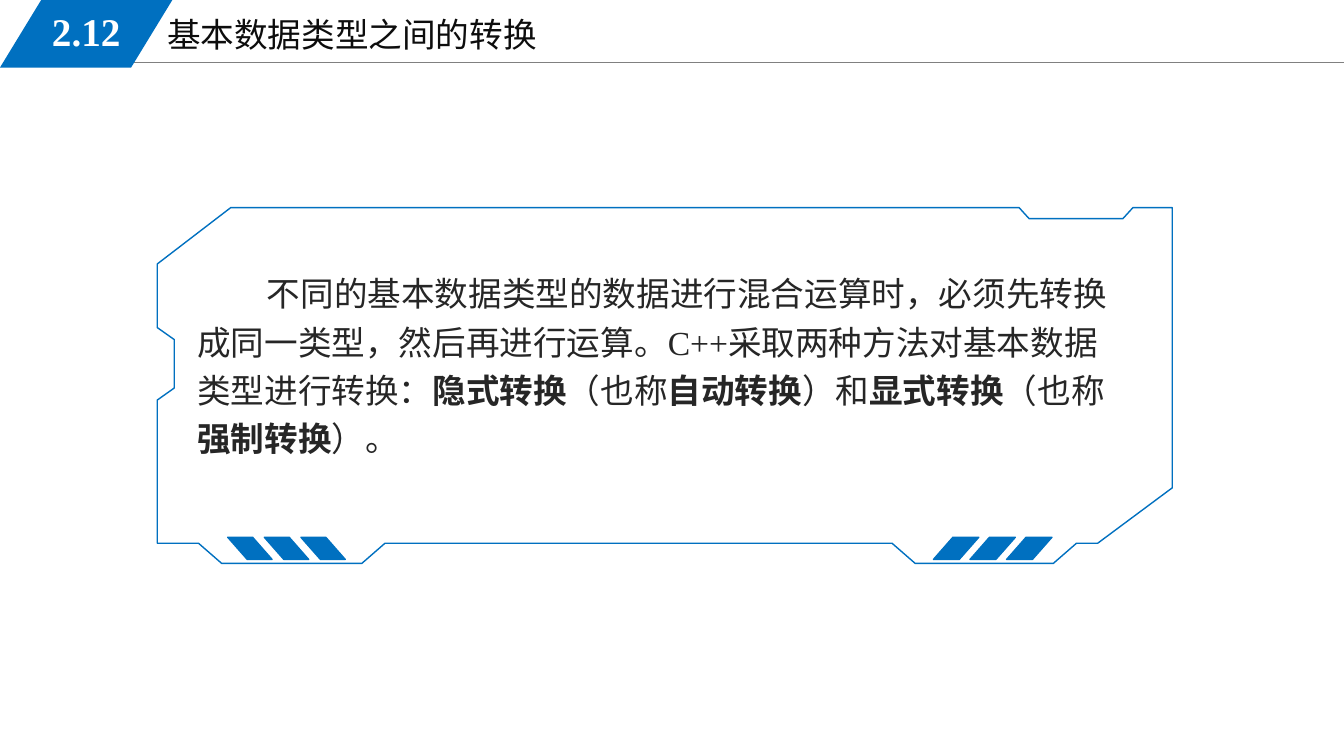
from lxml.etree import SubElement
from pptx import Presentation
from pptx.dml.color import RGBColor
from pptx.enum.shapes import MSO_CONNECTOR as Link, MSO_SHAPE as Shape
from pptx.enum.text import MSO_ANCHOR as Anchor, PP_ALIGN as Align
from pptx.oxml.ns import qn
from pptx.util import Inches, Pt

CELL = Inches(0.1)
COLS, ROWS = 133.33, 75
BLUE, GRAY, DARK, INK, WHITE = "0070C0", "808080", "0D0D0D", "262626", "FFFFFF"
FACE = "Times New Roman"

FRAME = [
    (90.8, 55.9), (104.5, 55.9), (106.8, 53.9), (108.9, 53.9),
    (116.3, 48.4), (116.3, 20.6), (112.4, 20.6), (111.4, 21.7),
    (102.1, 21.7), (101.1, 20.6), (22.9, 20.6), (15.6, 26.2),
    (15.6, 32.5), (17.3, 33.7), (17.3, 38.5), (15.6, 39.7),
    (15.6, 53.9), (19.7, 53.9), (22, 55.9), (35.9, 55.9),
    (38.2, 53.9), (88.5, 53.9),
]

BODY = [
    ("不同的基本数据类型的数据进行混合运算时，必须先转换成同一类型，"
     "然后再进行运算。C++采取两种方法对基本数据类型进行转换：", False),
    ("隐式转换", True), ("（也称", False), ("自动转换", True),
    ("）和", False), ("显式转换", True), ("（也称", False),
    ("强制转换", True), ("）。", False),
]


def grid(*cells):
    return [round(cell * CELL) for cell in cells]


def color(text):
    return RGBColor.from_string(text)


def add_rule(slide, start, end):
    rule = slide.shapes.add_connector(Link.STRAIGHT, *grid(*start, *end))
    rule.line.color.rgb = color(GRAY)
    rule.line.width = Pt(0.75)
    SubElement(rule._element.spPr, qn("a:effectLst"))


def add_text(slide, box, parts, size, tint, bold=False, align=None,
             anchor=Anchor.TOP, indent=0, space=None):
    frame = slide.shapes.add_textbox(*grid(*box)).text_frame
    frame.word_wrap = True
    frame.vertical_anchor = anchor
    para = frame.paragraphs[0]
    para.alignment = align
    para.line_spacing = space
    if indent:
        para._p.get_or_add_pPr().set("indent", str(grid(indent)[0]))
    font = para.font
    font.name, font.size, font.bold = FACE, Pt(size), bold
    font.color.rgb = color(tint)
    for words, strong in parts:
        run = para.add_run()
        run.text = words
        if strong:
            run.font.bold = True


def add_slant(slide, box, lean, edge=True, flip=False):
    slant = slide.shapes.add_shape(Shape.PARALLELOGRAM, *grid(*box))
    slant.adjustments[0] = lean
    slant.shadow.inherit = False
    slant.fill.solid()
    slant.fill.fore_color.rgb = color(BLUE)
    if edge:
        slant.line.color.rgb = color(BLUE)
        slant.line.width = Pt(1)
    else:
        slant.line.fill.background()
    if flip:
        slant._element.spPr.xfrm.set("flipH", "1")


def add_bars(slide, left, width, flip):
    for step in range(3):
        box = (left + 3.63 * step, 53.3, width, 2.2)
        add_slant(slide, box, 0.88, flip=flip)


def add_frame(slide, points):
    spots = [tuple(grid(*point)) for point in points]
    pen = slide.shapes.build_freeform(*spots[0])
    pen.add_line_segments(spots[1:], close=True)
    frame = pen.convert_to_shape()
    frame.shadow.inherit = False
    frame.fill.background()
    frame.line.color.rgb = color(BLUE)
    frame.line.width = Pt(1)


def main():
    deck = Presentation()
    deck.slide_width, deck.slide_height = grid(COLS, ROWS)
    slide = deck.slides.add_slide(deck.slide_layouts[6])
    add_rule(slide, (11.3, 6.2), (COLS, 6.2))
    add_text(slide, (15.6, 0.9, 56.7, 5.1),
             [("基本数据类型之间的转换", False)], 24, DARK)
    add_slant(slide, (0, 0, 17.1, 6.7), 0.61, edge=False)
    add_text(slide, (2.5, 0.2, 12.1, 5.8), [("2.12", False)], 28, WHITE,
             bold=True, align=Align.CENTER, anchor=Anchor.MIDDLE)
    add_text(slide, (18.6, 25.8, 94.4, 24.8), BODY, 24, INK,
             indent=6.9, space=1.2)
    add_frame(slide, FRAME)
    add_bars(slide, 92.6, 4.5, False)
    add_bars(slide, 22.6, 4.4, True)
    deck.save("out.pptx")


if __name__ == "__main__":
    main()
